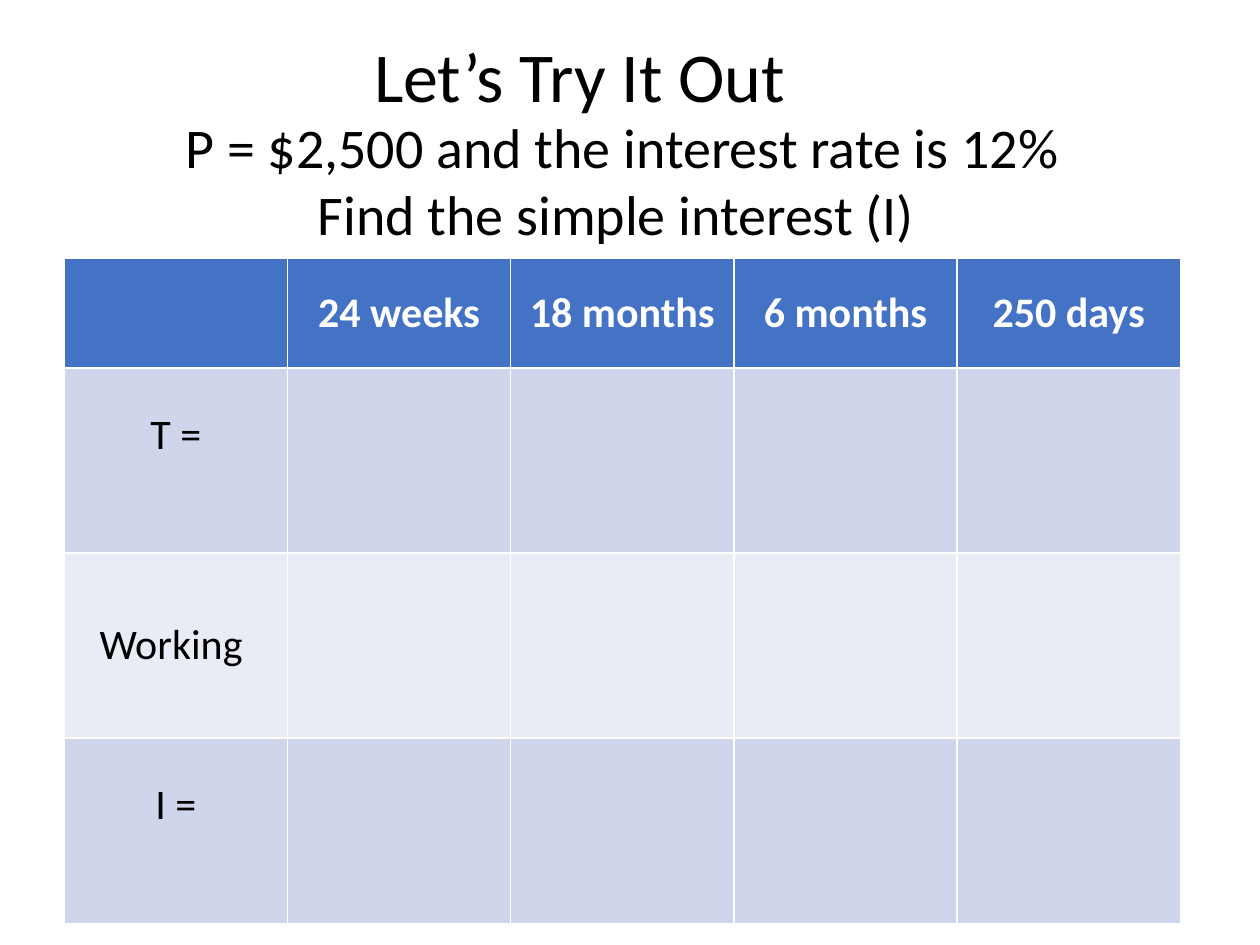
from pptx import Presentation
from pptx.dml.color import RGBColor
from pptx.enum import text
from pptx.util import Inches, Pt

TITLE = ["Let’s Try It Out"]
PROBLEM = ["P = $2,500 and the interest rate is 12%", "Find the simple interest (I) "]
PERIODS = ["24 weeks", "18 months", "6 months", "250 days"]
STEPS = ["T =", "Working ", "I ="]
RAISED_STEPS = ["T =", "I ="]

THEME = {
    "font": "Calibri",
    "title": 40,
    "problem": 32,
    "table": 24,
    "ink": "000000",
    "light": "FFFFFF",
    "header": "4472C4",
    "bands": ["CFD5EA", "E9EBF5"],
}
LEFT, CENTER = text.PP_ALIGN.LEFT, text.PP_ALIGN.CENTER


def write(frame, lines, size, align, color="ink", bold=False):
    for index, line in enumerate(lines):
        para = frame.paragraphs[0] if index == 0 else frame.add_paragraph()
        para.alignment = align
        span = para.add_run()
        span.text = line
        span.font.name = THEME["font"]
        span.font.size = Pt(THEME[size])
        span.font.bold = bold
        span.font.color.rgb = RGBColor.from_string(THEME[color])


def add_text(page, area, lines, size, align):
    box = page.shapes.add_textbox(*map(Inches, area))
    box.text_frame.word_wrap = True
    write(box.text_frame, lines, size, align)


def add_worksheet(page):
    rows = [["", *PERIODS]] + [[step] + [""] * len(PERIODS) for step in STEPS]
    heights = [0.87] + [1.47] * len(STEPS)
    table = page.shapes.add_table(
        len(rows), len(rows[0]), Inches(0.51), Inches(2.05), Inches(8.86), Inches(sum(heights))
    ).table
    for row, values in enumerate(rows):
        table.rows[row].height = Inches(heights[row])
        header = row == 0
        fill = THEME["header"] if header else THEME["bands"][(row - 1) % 2]
        for column, value in enumerate(values):
            cell = table.cell(row, column)
            cell.fill.solid()
            cell.fill.fore_color.rgb = RGBColor.from_string(fill)
            cell.vertical_anchor = text.MSO_ANCHOR.MIDDLE
            if value in RAISED_STEPS:
                cell.margin_bottom = Inches(0.45)
            if value:
                write(cell.text_frame, [value], "table", CENTER,
                      "light" if header else "ink", header)


def main():
    deck = Presentation()
    deck.slide_width, deck.slide_height = Inches(10), Inches(7.5)
    page = deck.slides.add_slide(deck.slide_layouts[6])
    add_text(page, (2.87, 0.21, 4.72, 0.77), TITLE, "title", LEFT)
    add_text(page, (-0.12, 0.84, 10.12, 1.18), PROBLEM, "problem", CENTER)
    add_worksheet(page)
    deck.save("out.pptx")


if __name__ == "__main__":
    main()
